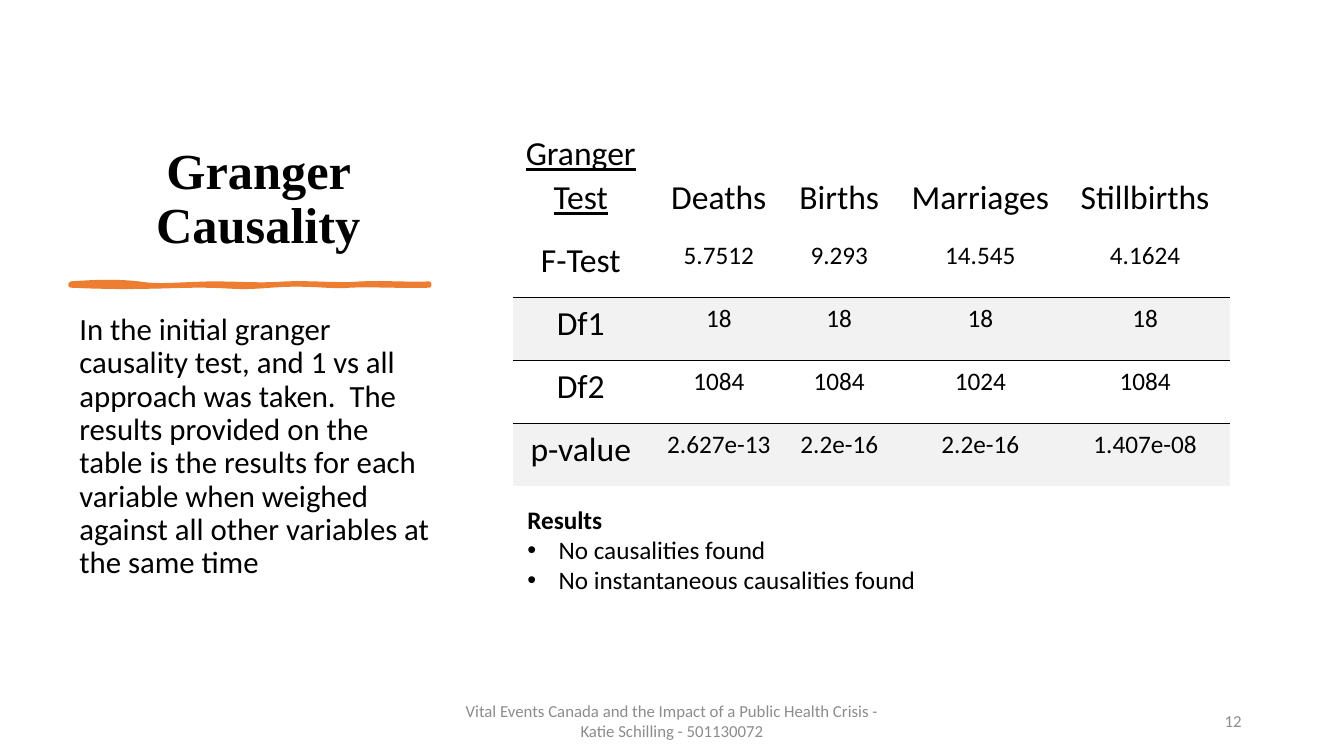
from dataclasses import dataclass
from lxml.etree import SubElement
from pptx import Presentation
from pptx.dml.color import RGBColor
from pptx.enum.text import MSO_ANCHOR, MSO_AUTO_SIZE, PP_ALIGN
from pptx.oxml.ns import qn
from pptx.util import Inches, Pt


@dataclass(frozen=True)
class Theme:
    ink: str = "000000"
    accent: str = "ED7D31"
    band: str = "F2F2F2"
    muted: str = "8C8C8C"
    heading_font: str = "Times New Roman"
    text_font: str = "Calibri"
    title: int = 36
    label: int = 24
    body: int = 22
    value: int = 18
    footer: int = 12
    rule: float = 0.75
    stroke: int = 3


@dataclass(frozen=True)
class Box:
    left: int
    top: int
    width: int
    height: int

    def point(self, across, down):
        return round(self.left + across * self.width), round(self.top + down * self.height)

    def place(self, shape):
        shape.left, shape.top, shape.width, shape.height = self.bounds()

    def bounds(self):
        return self.left, self.top, self.width, self.height


THEME = Theme()
WIDTH, HEIGHT = Inches(13.33), Inches(7.5)
COLUMNS, ROWS = 160, 90
PLAIN_TABLE = "{2D5ABB26-0587-4C30-8999-92F81FD0307C}"

RESULTS_BY_TEST = [
    ["Granger Test", "Deaths", "Births", "Marriages", "Stillbirths"],
    ["F-Test", "5.7512", "9.293", "14.545", "4.1624"],
    ["Df1", "18", "18", "18", "18"],
    ["Df2", "1084", "1084", "1024", "1084"],
    ["p-value", "2.627e-13", "2.2e-16", "2.2e-16", "1.407e-08"],
]
COLUMN_WEIGHTS = [1.45, 1.29, 1.1, 1.7, 1.57]
ROW_WEIGHTS = [0.71, 0.44, 0.44, 0.44, 0.44]

UPPER_EDGE = [(0, 0), (0.08, -1), (0.14, -1), (0.19, 0), (0.24, 1.5), (0.29, 0.5),
              (0.39, 0), (0.48, 0), (0.53, 1), (0.6, 0), (0.67, -0.5), (0.76, 1),
              (0.81, 0), (0.87, -0.5), (0.96, 0.5), (1, 0)]
LOWER_EDGE = [(1, 1), (0.95, 1.5), (0.83, 0.5), (0.78, 1), (0.73, 2), (0.66, -0.5),
              (0.56, 1), (0.46, 2.5), (0.45, 1), (0.36, 1), (0.27, 1), (0.17, 2.5), (0, 1)]


def grid(column, row, columns, rows):
    across, down = WIDTH / COLUMNS, HEIGHT / ROWS
    return Box(round(column * across), round(row * down),
               round(columns * across), round(rows * down))


def add_run(paragraph, wording, size, font=THEME.text_font, color=THEME.ink,
            bold=False, underline=False):
    run = paragraph.add_run()
    run.text = wording
    run.font.size = Pt(size)
    run.font.name = font
    run.font.bold = bold
    run.font.underline = underline
    run.font.color.rgb = RGBColor.from_string(color)


def add_heading(title, box):
    box.place(title)
    frame = title.text_frame
    frame.auto_size = MSO_AUTO_SIZE.NONE
    frame.vertical_anchor = MSO_ANCHOR.BOTTOM
    heading = frame.paragraphs[0]
    heading.alignment = PP_ALIGN.CENTER
    heading.line_spacing = 0.9
    add_run(heading, "Granger Causality", THEME.title, THEME.heading_font, bold=True)


def add_explanation(body, box):
    box.place(body)
    frame = body.text_frame
    frame.auto_size = MSO_AUTO_SIZE.NONE
    explanation = frame.paragraphs[0]
    explanation.alignment = PP_ALIGN.LEFT
    explanation.line_spacing = 0.9
    explanation.space_before = Pt(10)
    add_run(explanation, "In the initial granger causality test, and 1 vs all approach was "
            "taken.  The results provided on the table is the results for each variable "
            "when weighed against all other variables at the same time", THEME.body)


def curve(knots, steps=8):
    points = [knots[0]]
    for first in range(0, len(knots) - 1, 3):
        a, b, c, d = knots[first:first + 4]
        for step in range(1, steps + 1):
            t = step / steps
            u = 1 - t
            points.append(tuple(u**3 * p + 3 * u * u * t * q + 3 * u * t * t * r + t**3 * s
                                for p, q, r, s in zip(a, b, c, d)))
    return points


def add_brush_stroke(slide, box):
    outline = [box.point(*p) for p in curve(UPPER_EDGE) + curve(LOWER_EDGE)]
    builder = slide.shapes.build_freeform(*outline[0])
    builder.add_line_segments(outline[1:], close=True)
    stroke = builder.convert_to_shape()
    stroke.shadow.inherit = False
    accent = RGBColor.from_string(THEME.accent)
    stroke.fill.solid()
    stroke.fill.fore_color.rgb = accent
    stroke.line.color.rgb = accent
    stroke.line.width = Pt(THEME.stroke)
    SubElement(stroke.line._get_or_add_ln(), qn("a:round"))


def add_border(cell, side):
    edge = SubElement(cell._tc.get_or_add_tcPr(), qn(f"a:{side}"), w=str(Pt(THEME.rule)))
    SubElement(SubElement(edge, qn("a:solidFill")), qn("a:srgbClr"), val=THEME.ink)


def fill_cell(cell, wording, row, column):
    header, banded = row == 0, row in (2, 4)
    cell.margin_left, cell.margin_right = 0, Inches(0.11)
    cell.margin_top, cell.margin_bottom = Inches(0.03 if header else 0.04), Inches(0.15)
    cell.vertical_anchor = MSO_ANCHOR.BOTTOM if header else MSO_ANCHOR.TOP
    if not header:
        add_border(cell, "lnT" if banded else "lnB")
    if banded:
        cell.fill.solid()
        cell.fill.fore_color.rgb = RGBColor.from_string(THEME.band)
    else:
        cell.fill.background()
    entry = cell.text_frame.paragraphs[0]
    entry.alignment = PP_ALIGN.CENTER
    entry.line_spacing = 1.07
    entry.space_after = Pt(10)
    size = THEME.label if header or column == 0 else THEME.value
    add_run(entry, wording, size, underline=header and column == 0)


def add_test_table(slide, box):
    frame = slide.shapes.add_table(len(ROW_WEIGHTS), len(COLUMN_WEIGHTS), *box.bounds())
    table = frame.table
    table.first_row = table.horz_banding = False
    table._tbl.tblPr.find(qn("a:tableStyleId")).text = PLAIN_TABLE
    for column, weight in zip(table.columns, COLUMN_WEIGHTS):
        column.width = round(box.width * weight / sum(COLUMN_WEIGHTS))
    for row, weight in zip(table.rows, ROW_WEIGHTS):
        row.height = round(box.height * weight / sum(ROW_WEIGHTS))
    for row, entries in enumerate(RESULTS_BY_TEST):
        for column, wording in enumerate(entries):
            fill_cell(table.cell(row, column), wording, row, column)


def add_findings(slide, box):
    frame = slide.shapes.add_textbox(*box.bounds()).text_frame
    frame.word_wrap = True
    frame.auto_size = MSO_AUTO_SIZE.SHAPE_TO_FIT_TEXT
    add_run(frame.paragraphs[0], "Results", THEME.value, bold=True)
    for wording in ("No causalities found", "No instantaneous causalities found"):
        finding = frame.add_paragraph()
        indent = Inches(0.31)
        properties = finding._p.get_or_add_pPr()
        properties.set("marL", str(indent))
        properties.set("indent", str(-indent))
        SubElement(properties, qn("a:buFont"), typeface="Arial")
        SubElement(properties, qn("a:buChar"), char="•")
        add_run(finding, wording, THEME.value)


def add_footer(slide, box, wording, alignment):
    frame = slide.shapes.add_textbox(*box.bounds()).text_frame
    frame.word_wrap = True
    frame.vertical_anchor = MSO_ANCHOR.MIDDLE
    line = frame.paragraphs[0]
    line.alignment = alignment
    add_run(line, wording, THEME.footer, color=THEME.muted)


def build_causality_slide(deck):
    slide = deck.slides.add_slide(deck.slide_layouts.get_by_name("Content with Caption"))
    title, content, body = slide.placeholders
    content.element.getparent().remove(content.element)
    add_heading(title, grid(8.25, 8.4, 45, 22.5))
    add_brush_stroke(slide, grid(8.4, 33.75, 42.7, 0.25))
    add_explanation(body, grid(8.25, 36.8, 45, 44.8))
    add_test_table(slide, grid(61.1, 15.25, 85.3, 29.65))
    add_findings(slide, grid(61.6, 59.4, 78.5, 12.1))
    add_footer(slide, grid(53, 83.4, 54, 4.8), "Vital Events Canada and the Impact of a "
               "Public Health Crisis - Katie Schilling - 501130072", PP_ALIGN.CENTER)
    add_footer(slide, grid(113, 83.4, 36, 4.8), "12", PP_ALIGN.RIGHT)


deck = Presentation()
deck.slide_width, deck.slide_height = WIDTH, HEIGHT
build_causality_slide(deck)
deck.save("out.pptx")
